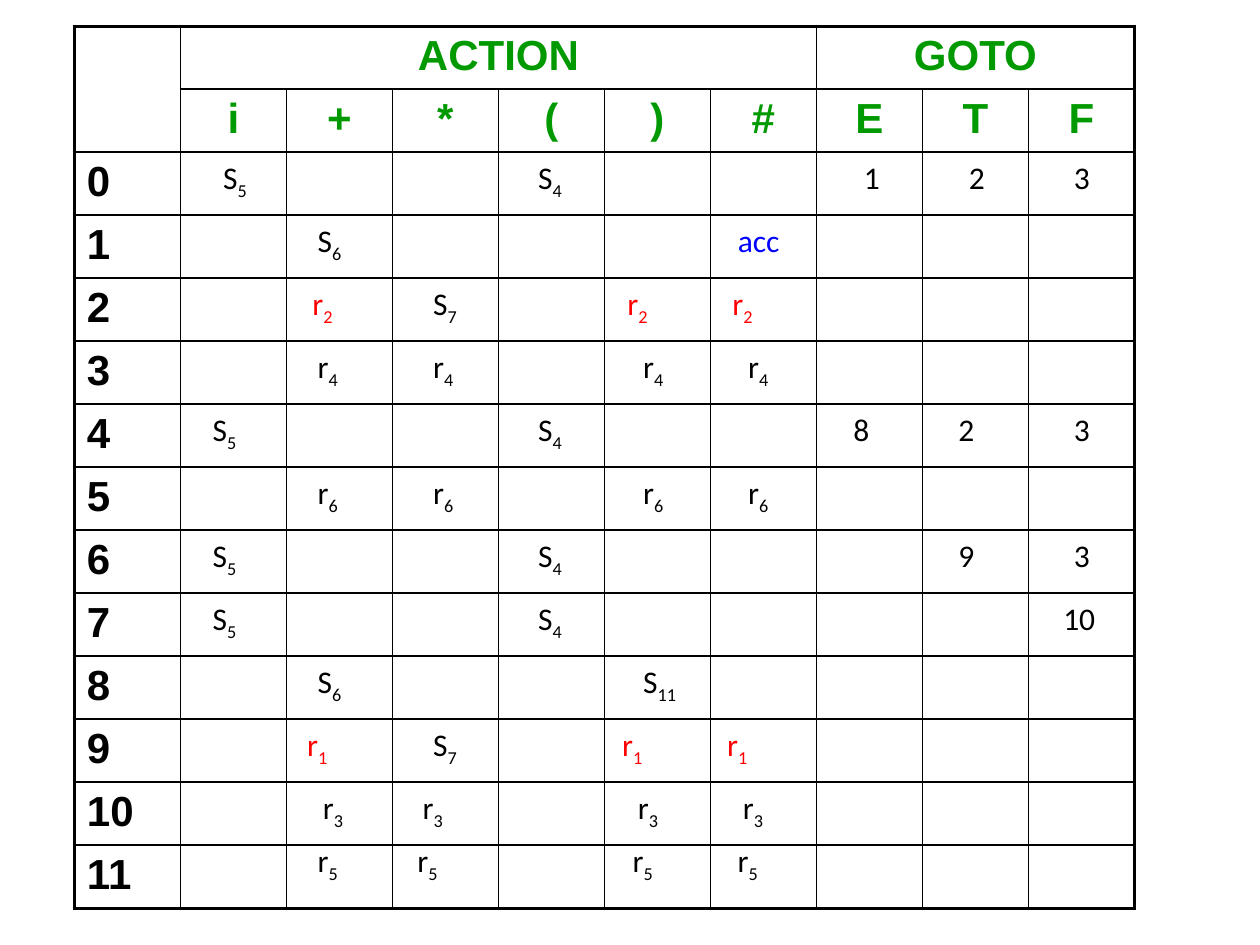
from dataclasses import dataclass

from lxml.etree import SubElement
from pptx import Presentation
from pptx.dml.color import RGBColor
from pptx.enum.text import MSO_AUTO_SIZE, PP_ALIGN
from pptx.oxml.ns import qn
from pptx.util import Pt


@dataclass(frozen=True)
class Theme:
    heading_font: str = "Arial"
    entry_font: str = "Calibri"
    heading_size: int = 24
    entry_size: int = 18
    heading: str = "009900"
    ink: str = "000000"
    accept: str = "0000FF"
    conflict: str = "FF0000"
    outer_line: float = 2.25
    inner_line: float = 1


theme = Theme()


def write(frame, text, subscript="", font=theme.entry_font, size=theme.entry_size,
          color=theme.ink, bold=False, align=None):
    paragraph = frame.paragraphs[0]
    paragraph.alignment = align
    spacing = SubElement(paragraph._p.get_or_add_pPr(), qn("a:spcBef"))
    SubElement(spacing, qn("a:spcPct"), val="20000")
    for part, baseline in ((text, None), (subscript, "-25000")):
        if not part:
            continue
        run = paragraph.add_run()
        run.text = part
        run.font.name, run.font.size, run.font.bold = font, Pt(size), bold
        run.font.color.rgb = RGBColor.from_string(color)
        if baseline:
            run.font._element.set("baseline", baseline)


def draw_border(cell, edge, width):
    line = SubElement(cell._tc.get_or_add_tcPr(), qn(f"a:ln{edge}"), w=str(Pt(width)))
    fill = SubElement(line, qn("a:solidFill"))
    SubElement(fill, qn("a:srgbClr"), val=theme.ink)


deck = Presentation()
deck.slide_width, deck.slide_height = Pt(720), Pt(540)
slide = deck.slides.add_slide(deck.slide_layouts[6])

# Parsing table: two heading rows, then one row per state
symbols = "i+*()#ETF"
state_count = 12
row_count, column_count = state_count + 2, len(symbols) + 1
left, top, column_width, row_height = 42.5, 15, 60.6, 36
grid = slide.shapes.add_table(
    row_count, column_count, Pt(left), Pt(top),
    Pt(column_width * column_count), Pt(row_height * row_count)).table
grid.first_row = grid.horz_banding = False
for column in grid.columns:
    column.width = Pt(column_width)
for row in grid.rows:
    row.height = Pt(row_height)

grid.cell(0, 0).merge(grid.cell(1, 0))
grid.cell(0, 1).merge(grid.cell(0, 6))
grid.cell(0, 7).merge(grid.cell(0, 9))

# Heavy lines around the table, thin lines inside
for r in range(row_count):
    for c in range(column_count):
        cell = grid.cell(r, c)
        outer_edges = {"L": c == 0, "R": c + cell.span_width == column_count,
                       "T": r == 0, "B": r == row_count - 1}
        for edge, is_outer in outer_edges.items():
            draw_border(cell, edge, theme.outer_line if is_outer else theme.inner_line)
        cell.fill.background()

# Headings and state numbers
headings = [(0, 1, "ACTION"), (0, 7, "GOTO")]
headings += [(1, c, symbol) for c, symbol in enumerate(symbols, 1)]
for r, c, heading in headings:
    write(grid.cell(r, c).text_frame, heading, font=theme.heading_font,
          size=theme.heading_size, color=theme.heading, bold=True, align=PP_ALIGN.CENTER)
for state in range(state_count):
    write(grid.cell(state + 2, 0).text_frame, str(state), font=theme.heading_font,
          size=theme.heading_size, bold=True)

# Entries of each state: symbol, action, shift to the right
entries = [
    [("i", "S5", 6), ("(", "S4", 6), ("E", "1", 12), ("T", "2", 12), ("F", "3", 12)],
    [("+", "S6", 0), ("#", "acc", 0)],
    [("+", "r2", -3), ("*", "S7", 6), (")", "r2", -3), ("#", "r2", -3)],
    [("+", "r4", 0), ("*", "r4", 6), (")", "r4", 6), ("#", "r4", 6)],
    [("i", "S5", 0), ("(", "S4", 6), ("E", "8", 6), ("T", "2", 6), ("F", "3", 12)],
    [("+", "r6", 0), ("*", "r6", 6), (")", "r6", 6), ("#", "r6", 6)],
    [("i", "S5", 0), ("(", "S4", 6), ("T", "9", 6), ("F", "3", 12)],
    [("i", "S5", 0), ("(", "S4", 6), ("F", "10", 6)],
    [("+", "S6", 0), (")", "S11", 6)],
    [("+", "r1", -6), ("*", "S7", 6), (")", "r1", -6), ("#", "r1", -6)],
    [("+", "r3", 3), ("*", "r3", 0), (")", "r3", 3), ("#", "r3", 3)],
    [("+", "r5", 0), ("*", "r5", -3), (")", "r5", 0), ("#", "r5", 0)],
]
entry_left, entry_pitch = 114.5, 60
entry_widths = {"S": 36, "r": 33, "acc": 54, "S11": 44, "10": 38}
special_colors = {"acc": theme.accept, "r1": theme.conflict, "r2": theme.conflict}
last_row_lift = 6

for state, actions in enumerate(entries):
    entry_top = top + row_height * (state + 2)
    if state == state_count - 1:
        entry_top -= last_row_lift
    for symbol, action, shift in actions:
        kind = action[0]
        width = entry_widths.get(action, entry_widths.get(kind, 26.5))
        entry = slide.shapes.add_textbox(
            Pt(entry_left + entry_pitch * symbols.index(symbol) + shift),
            Pt(entry_top), Pt(width), Pt(row_height)).text_frame
        entry.word_wrap = kind in "ra"
        entry.auto_size = MSO_AUTO_SIZE.SHAPE_TO_FIT_TEXT
        text, subscript = (kind, action[1:]) if kind in "Sr" else (action, "")
        write(entry, text, subscript, color=special_colors.get(action, theme.ink))

deck.save("out.pptx")
